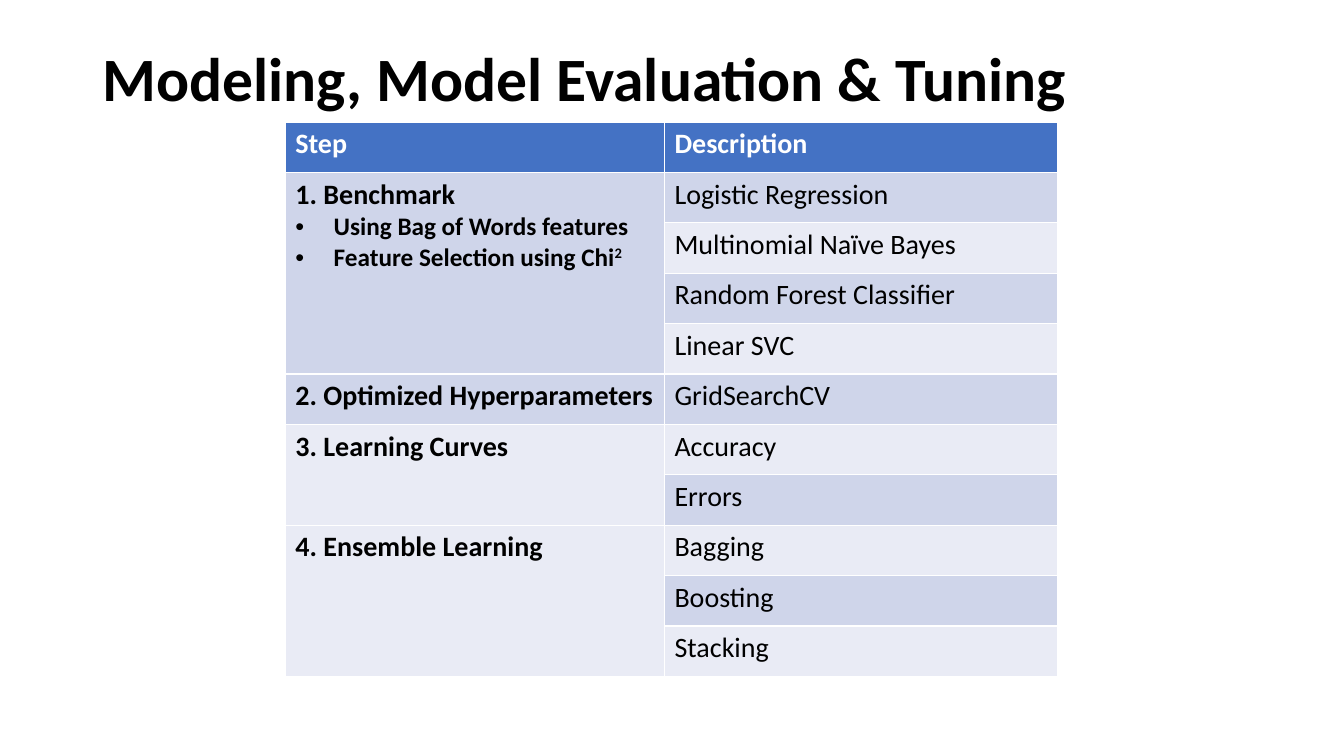
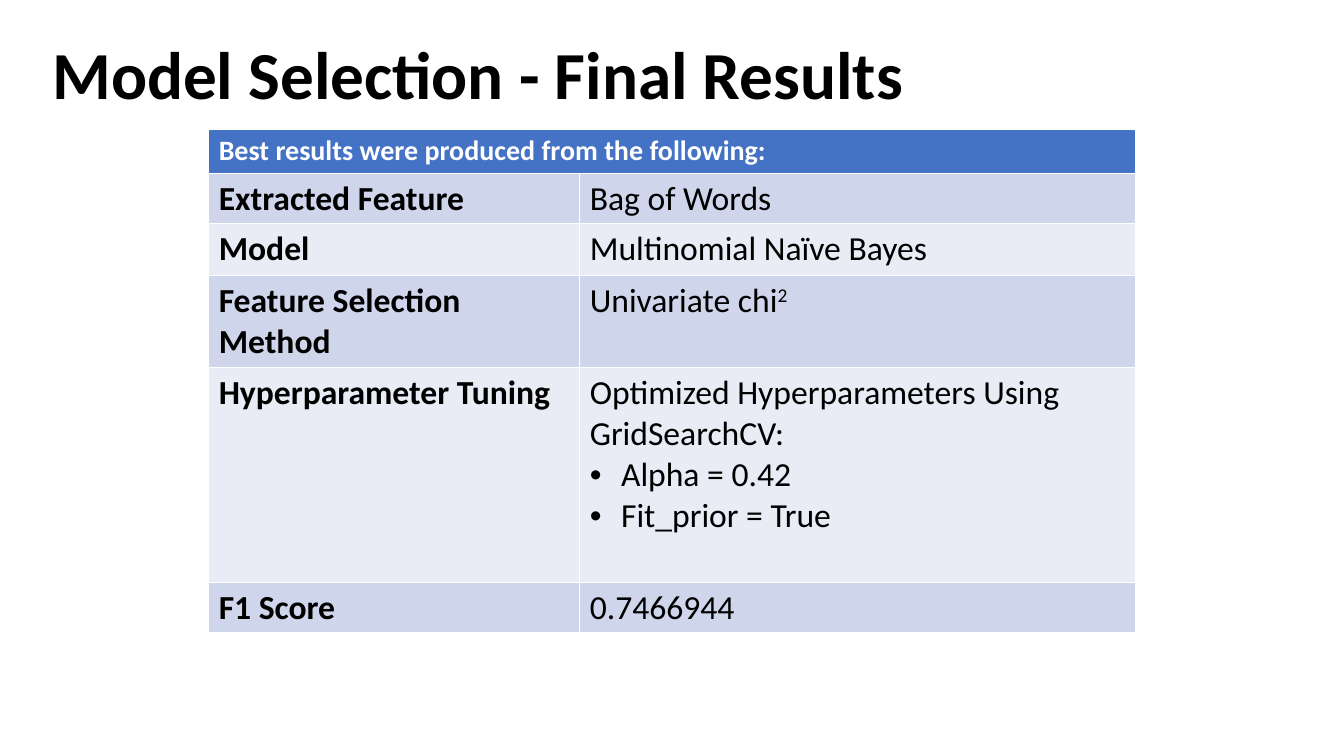
"""Build two slides on model evaluation and the final model selection."""
from dataclasses import dataclass

from lxml import etree
from pptx import Presentation
from pptx.dml.color import RGBColor
from pptx.enum.text import MSO_ANCHOR
from pptx.oxml.ns import qn
from pptx.util import Inches, Pt

MIDDLE = MSO_ANCHOR.MIDDLE
FONT = "Calibri"
BLACK = RGBColor(0x00, 0x00, 0x00)
WHITE = RGBColor(0xFF, 0xFF, 0xFF)
HEADER_BLUE = RGBColor(0x44, 0x72, 0xC4)
BANDS = (RGBColor(0xE9, 0xEB, 0xF5), RGBColor(0xCF, 0xD5, 0xEA))
BLANK_LAYOUT = 6


@dataclass
class Line:
    text: str
    size: int
    superscript: str = ""
    indent: float = 0


STEPS = [
    ([Line("1. Benchmark", 20),
      Line("Using Bag of Words features", 18, indent=0.38),
      Line("Feature Selection using Chi", 18, "2", 0.38)],
     ["Logistic Regression", "Multinomial Naïve Bayes",
      "Random Forest Classifier", "Linear SVC"]),
    ([Line("2. Optimized Hyperparameters", 20)], ["GridSearchCV"]),
    ([Line("3. Learning Curves", 20)], ["Accuracy", "Errors"]),
    ([Line("4. Ensemble Learning", 20)], ["Bagging", "Boosting", "Stacking"]),
]

RESULTS = [
    ("Extracted Feature", [Line("Bag of Words", 24)]),
    ("Model", [Line("Multinomial Naïve Bayes", 24)]),
    ("Feature Selection Method", [Line("Univariate chi", 24, "2")]),
    ("Hyperparameter Tuning",
     [Line("Optimized Hyperparameters Using GridSearchCV:", 24),
      Line("Alpha = 0.42", 24, indent=0.31),
      Line("Fit_prior = True", 24, indent=0.31)]),
    ("F1 Score", [Line("0.7466944", 24)]),
]


def style_font(paragraph, size, color, bold):
    """Set the font of a whole paragraph."""
    font = paragraph.font
    font.name = FONT
    font.size = Pt(size)
    font.bold = bold
    font.color.rgb = color


def add_bullet(paragraph, indent):
    """Give a paragraph a hanging bullet."""
    properties = paragraph._p.get_or_add_pPr()
    properties.set("marL", str(Inches(indent)))
    properties.set("indent", str(-Inches(indent)))
    etree.SubElement(properties, qn("a:buFont")).set("typeface", "Arial")
    etree.SubElement(properties, qn("a:buChar")).set("char", "•")


def write_lines(text_frame, lines, color, bold):
    """Write each line as a paragraph, with its bullet and superscript."""
    for index, line in enumerate(lines):
        paragraph = text_frame.add_paragraph() if index else text_frame.paragraphs[0]
        paragraph.add_run().text = line.text
        if line.superscript:
            run = paragraph.add_run()
            run.text = line.superscript
            run._r.get_or_add_rPr().set("baseline", "30000")
        if line.indent:
            add_bullet(paragraph, line.indent)
        style_font(paragraph, line.size, color, bold)


def add_title(slide, text, size, left, top, width, height):
    """Add a bold slide title."""
    box = slide.shapes.add_textbox(
        Inches(left), Inches(top), Inches(width), Inches(height))
    text_frame = box.text_frame
    text_frame.word_wrap = True
    text_frame.vertical_anchor = MIDDLE
    write_lines(text_frame, [Line(text, size)], BLACK, True)
    text_frame.paragraphs[0].line_spacing = 0.9


def add_banded_table(slide, left, top, column_widths, row_heights):
    """Add a table with a blue header and alternating row fills."""
    table = slide.shapes.add_table(
        len(row_heights), len(column_widths), Inches(left), Inches(top),
        Inches(sum(column_widths)), Inches(sum(row_heights))).table
    for column, width in zip(table.columns, column_widths):
        column.width = Inches(width)
    for index, (row, height) in enumerate(zip(table.rows, row_heights)):
        row.height = Inches(height)
        for cell in row.cells:
            cell.fill.solid()
            cell.fill.fore_color.rgb = BANDS[index % 2] if index else HEADER_BLUE
    return table


def write_cell(table, row, column, lines, color=BLACK):
    """Fill a cell, bold in the header and in the first column."""
    bold = row == 0 or column == 0
    write_lines(table.cell(row, column).text_frame, lines, color, bold)


def build_steps_slide(slide):
    """Build the table of modeling steps."""
    add_title(slide, "Modeling, Model Evaluation & Tuning", 44, 0.92, 0.4, 11.5, 0.82)
    row_count = 1 + sum(len(descriptions) for _, descriptions in STEPS)
    table = add_banded_table(slide, 2.83, 1.21, [3.76, 3.9], [0.5] * row_count)
    for column, heading in enumerate(("Step", "Description")):
        write_cell(table, 0, column, [Line(heading, 20)], WHITE)
    first_row = 1
    for step_lines, descriptions in STEPS:
        last_row = first_row + len(descriptions) - 1
        if last_row > first_row:
            table.cell(first_row, 0).merge(table.cell(last_row, 0))
        write_cell(table, first_row, 0, step_lines)
        for row, description in enumerate(descriptions, first_row):
            write_cell(table, row, 1, [Line(description, 20)])
        first_row = last_row + 1


def build_results_slide(slide):
    """Build the table of final results."""
    add_title(slide, "Model Selection - Final Results", 48, 0.42, 0.34, 11.98, 0.87)
    table = add_banded_table(
        slide, 2.07, 1.28, [3.68, 5.51], [0.44, 0.5, 0.51, 0.92, 2.13, 0.5])
    table.cell(0, 0).merge(table.cell(0, 1))
    heading = Line("Best results were produced from the following:", 20)
    write_cell(table, 0, 0, [heading], WHITE)
    for row, (label, lines) in enumerate(RESULTS, 1):
        write_cell(table, row, 0, [Line(label, 24)])
        write_cell(table, row, 1, lines)


def main():
    """Build and save the presentation."""
    presentation = Presentation()
    presentation.slide_width = Inches(13.33)
    presentation.slide_height = Inches(7.5)
    for build_slide in (build_steps_slide, build_results_slide):
        build_slide(presentation.slides.add_slide(
            presentation.slide_layouts[BLANK_LAYOUT]))
    presentation.save("out.pptx")


if __name__ == "__main__":
    main()
